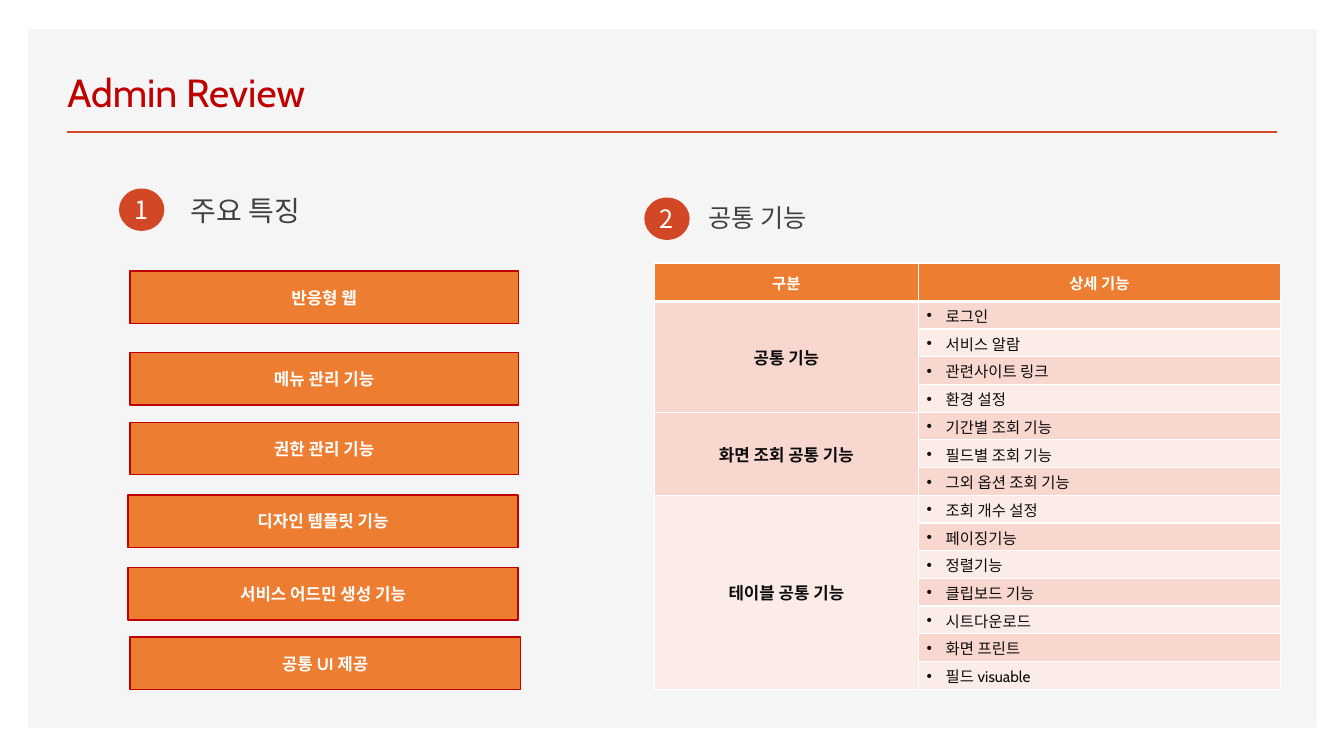
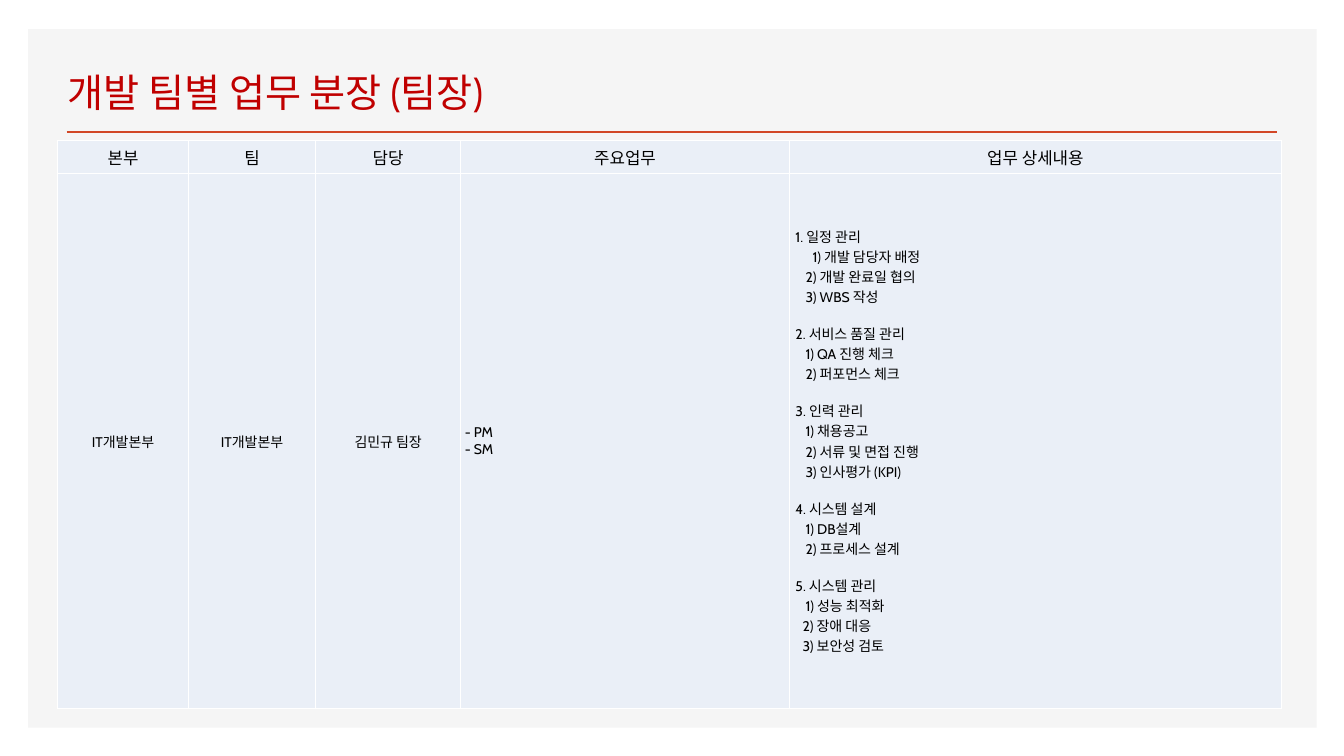
from dataclasses import dataclass

import pptx
import pptx.dml.color
import pptx.enum.shapes
import pptx.enum.text
import pptx.oxml
import pptx.oxml.ns
import pptx.util

Inches = pptx.util.Inches
Pt = pptx.util.Pt
ALIGN = pptx.enum.text.PP_ALIGN
ANCHOR = pptx.enum.text.MSO_ANCHOR
SHAPE = pptx.enum.shapes.MSO_SHAPE
qn = pptx.oxml.ns.qn

# Shared look
LATIN, KOREAN = "Cabin", "Noto Sans CJK KR"
WHITE, BLACK, PANEL = "FFFFFF", "000000", "F5F5F5"
RED, ACCENT, ORANGE = "C00000", "D24726", "ED7D31"
GREY, INK = "404040", "0D0D0D"
BANDS = ("F8D7CE", "FCECE8")
PALE_BLUE = "EAEFF7"


@dataclass(frozen=True)
class Style:
    size: float
    color: str
    font: str = LATIN
    bold: bool = False


@dataclass(frozen=True)
class Box:
    left: float
    top: float
    width: float
    height: float

    def emu(self) -> list[int]:
        return [Inches(v) for v in (self.left, self.top, self.width, self.height)]


@dataclass(frozen=True)
class Section:
    number: str
    title: str
    badge: Box
    label: Box
    size: float


@dataclass(frozen=True)
class Feature:
    text: str
    left: float
    top: float
    width: float


@dataclass(frozen=True)
class Line:
    text: str
    indent: float = 0.16
    before: float = 0


TITLE = Style(28, RED)
BADGE = Style(18, WHITE, KOREAN)
FEATURE = Style(12, WHITE, bold=True)
FUNCTION_HEAD = Style(11, WHITE, KOREAN, True)
CATEGORY = Style(12, INK, bold=True)
DETAIL = Style(11, INK)
DUTY_HEAD = Style(12, BLACK)
DUTY = Style(10, BLACK)

# Slide content
SECTIONS = (
    Section("1", "주요 특징", Box(1.18, 1.87, 0.45, 0.42), Box(1.79, 1.95, 3.35, 0.4), 20),
    Section("2", "공통 기능", Box(6.39, 1.96, 0.45, 0.42), Box(6.93, 2.01, 5.03, 0.4), 18),
)
FEATURES = (
    Feature("반응형 웹", 1.29, 2.69, 3.85),
    Feature("메뉴 관리 기능", 1.29, 3.5, 3.85),
    Feature("권한 관리 기능", 1.29, 4.19, 3.85),
    Feature("디자인 템플릿 기능", 1.27, 4.91, 3.87),
    Feature("서비스 어드민 생성 기능", 1.27, 5.63, 3.87),
    Feature("공통 UI 제공", 1.29, 6.32, 3.87),
)
FUNCTIONS = {
    "공통 기능": ("로그인", "서비스 알람", "관련사이트 링크", "환경 설정"),
    "화면 조회 공통 기능": ("기간별 조회 기능", "필드별 조회 기능", "그외 옵션 조회 기능"),
    "테이블 공통 기능": ("조회 개수 설정", "페이징기능", "정렬기능", "클립보드 기능",
                   "시트다운로드", "화면 프린트", "필드 visuable"),
}
DUTY_COLUMNS = {"본부": 1.3, "팀": 1.26, "담당": 1.44, "주요업무": 3.26, "업무 상세내용": 4.88}
DUTY_OWNER = ("IT개발본부", "IT개발본부", "김민규 팀장")
DUTY_ROLES = (Line("- PM", 0.04), Line("- SM", 0.04))
HEAD_INDENT, GROUP_GAP = 0.06, 12
DUTY_DETAILS = (
    Line("1. 일정 관리", HEAD_INDENT),
    Line("1) 개발 담당자 배정", 0.23),
    Line("2) 개발 완료일 협의"),
    Line("3) WBS 작성"),
    Line("2. 서비스 품질 관리", HEAD_INDENT, GROUP_GAP),
    Line("1) QA 진행 체크"),
    Line("2) 퍼포먼스 체크"),
    Line("3. 인력 관리", HEAD_INDENT, GROUP_GAP),
    Line("1) 채용공고"),
    Line("2) 서류 및 면접 진행"),
    Line("3) 인사평가 (KPI)"),
    Line("4. 시스템 설계", HEAD_INDENT, GROUP_GAP),
    Line("1) DB설계"),
    Line("2) 프로세스 설계"),
    Line("5. 시스템 관리", HEAD_INDENT, GROUP_GAP),
    Line("1) 성능 최적화"),
    Line("2) 장애 대응", 0.13),
    Line("3) 보안성 검토", 0.13),
)


# Text helpers
def rgb(color: str) -> pptx.dml.color.RGBColor:
    return pptx.dml.color.RGBColor.from_string(color)


def add_run(p, text: str, style: Style) -> None:
    r = p.add_run()
    r.text = text
    r.font.name, r.font.size, r.font.bold = style.font, Pt(style.size), style.bold
    r.font.color.rgb = rgb(style.color)
    ea = pptx.oxml.parse_xml(f'<a:ea {pptx.oxml.ns.nsdecls("a")} typeface="{KOREAN}"/>')
    r.font._element.find(qn("a:latin")).addnext(ea)


def indent(p, left: float, hanging: float = 0) -> None:
    pPr = p._p.get_or_add_pPr()
    pPr.set("marL", str(Inches(left)))
    pPr.set("indent", str(-Inches(hanging)))


def add_bullet(p) -> None:
    indent(p, 0.19, 0.19)
    ns = pptx.oxml.ns.nsdecls("a")
    pPr = p._p.get_or_add_pPr()
    pPr.append(pptx.oxml.parse_xml(f'<a:buFont {ns} typeface="Arial"/>'))
    pPr.append(pptx.oxml.parse_xml(f'<a:buChar {ns} char="•"/>'))


def add_text(s, box: Box, text: str, style: Style, anchor=ANCHOR.TOP):
    tf = s.shapes.add_textbox(*box.emu()).text_frame
    tf.word_wrap = True
    tf.vertical_anchor = anchor
    p = tf.paragraphs[0]
    add_run(p, text, style)
    return p


def add_block(s, kind, box: Box, fill: str, line: str = "", text: str = "",
              style: Style = FEATURE) -> None:
    sp = s.shapes.add_shape(kind, *box.emu())
    sp.shadow.inherit = False
    sp.fill.solid()
    sp.fill.fore_color.rgb = rgb(fill)
    if line:
        sp.line.color.rgb = rgb(line)
        sp.line.width = Pt(1)
    else:
        sp.line.fill.background()
    if text:
        tf = sp.text_frame
        tf.margin_left = tf.margin_right = tf.margin_top = tf.margin_bottom = 0
        tf.vertical_anchor = ANCHOR.MIDDLE
        p = tf.paragraphs[0]
        p.alignment = ALIGN.CENTER
        add_run(p, text, style)


# Table helpers
def add_grid(s, box: Box, widths: list[float], heights: list[float]):
    table = s.shapes.add_table(len(heights), len(widths), *box.emu()).table
    table.first_row = table.horz_banding = False
    for column, width in zip(table.columns, widths):
        column.width = Inches(width)
    for row, height in zip(table.rows, heights):
        row.height = Inches(height)
    return table


def format_cell(cell, fill: str, margins: tuple[float, ...], top: float = 1,
                bottom: float = 1) -> None:
    tcPr = cell._tc.get_or_add_tcPr()
    for side, width in (("L", 1), ("R", 1), ("T", top), ("B", bottom)):
        tcPr.append(pptx.oxml.parse_xml(
            f'<a:ln{side} {pptx.oxml.ns.nsdecls("a")} w="{Pt(width)}"><a:solidFill>'
            f'<a:srgbClr val="{WHITE}"/></a:solidFill></a:ln{side}>'))
    cell.fill.solid()
    cell.fill.fore_color.rgb = rgb(fill)
    cell.vertical_anchor = ANCHOR.MIDDLE
    (cell.margin_left, cell.margin_top,
     cell.margin_right, cell.margin_bottom) = [Inches(m) for m in margins]


def write_cell(cell, text: str, style: Style, align=ALIGN.CENTER):
    p = cell.text_frame.paragraphs[0]
    p.alignment = align
    add_run(p, text, style)
    return p


def write_lines(cell, lines: tuple[Line, ...], style: Style) -> None:
    tf = cell.text_frame
    for i, line in enumerate(lines):
        p = tf.add_paragraph() if i else tf.paragraphs[0]
        indent(p, line.indent)
        p.space_before = Pt(line.before)
        add_run(p, line.text, style)


# Slides
def new_slide(prs, title: str):
    s = prs.slides.add_slide(prs.slide_layouts[6])
    add_block(s, SHAPE.RECTANGLE, Box(0.28, 0.29, 12.78, 6.93), PANEL)
    rule = s.shapes.add_connector(pptx.enum.shapes.MSO_CONNECTOR.STRAIGHT,
                                  Inches(0.66), Inches(1.31), Inches(12.67), Inches(1.31))
    rule.line.color.rgb = rgb(ACCENT)
    rule.line.width = Pt(2)
    rule._element.spPr.append(
        pptx.oxml.parse_xml(f'<a:effectLst {pptx.oxml.ns.nsdecls("a")}/>'))
    add_text(s, Box(0.57, 0.49, 12.15, 0.7), title, TITLE, ANCHOR.BOTTOM)
    return s


def add_section(s, section: Section) -> None:
    add_block(s, SHAPE.OVAL, section.badge, ACCENT, text=section.number, style=BADGE)
    p = add_text(s, section.label, section.title, Style(section.size, GREY, KOREAN))
    p.line_spacing, p.space_before, p.space_after = Pt(18), Pt(10), Pt(6)


def add_function_table(s) -> None:
    box, head = Box(6.49, 2.61, 6.21, 4.23), 0.38
    count = sum(len(details) for details in FUNCTIONS.values())
    heights = [head] + [(box.height - head) / count] * count
    table = add_grid(s, box, [2.62, 3.59], heights)
    wide, tight = (0.1, 0.05, 0.1, 0.05), (0.08, 0.01, 0.01, 0)
    for col, text in enumerate(("구분", "상세 기능")):
        format_cell(table.cell(0, col), ORANGE, wide, bottom=3)
        write_cell(table.cell(0, col), text, FUNCTION_HEAD)
    row = 1
    for category, details in FUNCTIONS.items():
        first, last = row, row + len(details) - 1
        for detail in details:
            top = 3 if row == 1 else 1
            format_cell(table.cell(row, 0), BANDS[(first - 1) % 2], wide, top)
            format_cell(table.cell(row, 1), BANDS[(row - 1) % 2], tight, top)
            add_bullet(write_cell(table.cell(row, 1), detail, DETAIL, ALIGN.LEFT))
            row += 1
        table.cell(first, 0).merge(table.cell(last, 0))
        write_cell(table.cell(first, 0), category, CATEGORY)


def add_duty_table(s) -> None:
    table = add_grid(s, Box(0.57, 1.39, 12.15, 5.64), list(DUTY_COLUMNS.values()), [0.33, 5.31])
    for cell in table.iter_cells():
        format_cell(cell, PALE_BLUE, (0, 0, 0, 0))
    for col, text in enumerate(DUTY_COLUMNS):
        write_cell(table.cell(0, col), text, DUTY_HEAD)
    for col, text in enumerate(DUTY_OWNER):
        write_cell(table.cell(1, col), text, DUTY)
    write_lines(table.cell(1, 3), DUTY_ROLES, DUTY)
    write_lines(table.cell(1, 4), DUTY_DETAILS, DUTY)


def main() -> None:
    prs = pptx.Presentation()
    prs.slide_width, prs.slide_height = Inches(13.33), Inches(7.5)

    s = new_slide(prs, "Admin Review")
    for section in SECTIONS:
        add_section(s, section)
    add_function_table(s)
    for f in FEATURES:
        add_block(s, SHAPE.RECTANGLE, Box(f.left, f.top, f.width, 0.52), ORANGE, RED, f.text)

    add_duty_table(new_slide(prs, "개발 팀별 업무 분장 (팀장)"))
    prs.save("out.pptx")


if __name__ == "__main__":
    main()
